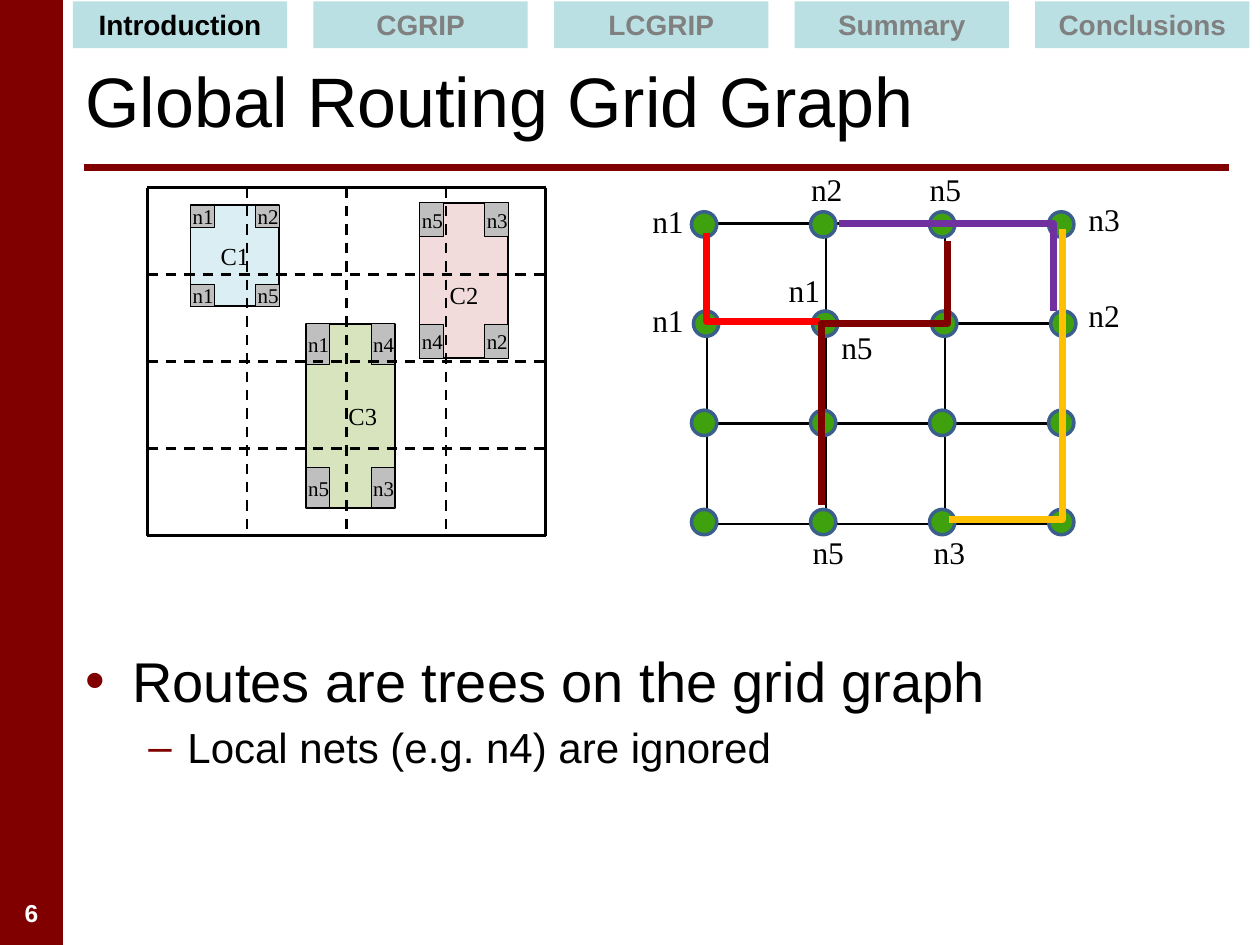
from collections import namedtuple

from lxml import etree
from pptx import Presentation
from pptx.dml.color import RGBColor
from pptx.enum.dml import MSO_LINE
from pptx.enum.shapes import MSO_CONNECTOR as Link, MSO_SHAPE as Preset
from pptx.enum.text import MSO_ANCHOR as Anchor, PP_ALIGN as Align
from pptx.oxml.ns import qn
from pptx.util import Cm, Pt

COLORS = {
    "maroon": "800000", "black": "000000", "white": "FFFFFF", "gray": "808080",
    "tab": "BBE0E3", "pin": "BFBFBF", "node": "40A10F", "ring": "3A5F8C",
    "blue": "DBEEF4", "pink": "F2DCDB", "green": "D7E4BD",
    "red": "FF0000", "purple": "7030A0", "orange": "FFC000",
}
SANS, SERIF = "Arial", "Times New Roman"

Block = namedtuple(
    "Block", "preset x y w h fill line weight text size font color bold insets",
    defaults=(None, 0, "", 12, SERIF, "black", False, (0.25, 0.13, 0.25, 0.13)))


def write(para, text, size, font=SERIF, color="black", bold=False):
    span = para.add_run()
    span.text = text
    span.font.size = Pt(size)
    span.font.name = font
    span.font.bold = bold
    span.font.color.rgb = RGBColor.from_string(COLORS[color])


def add_line(x1, y1, x2, y2, color="black", weight=1.5, kind=Link.STRAIGHT):
    line = page.shapes.add_connector(kind, Cm(x1), Cm(y1), Cm(x2), Cm(y2))
    line.line.color.rgb = RGBColor.from_string(COLORS[color])
    line.line.width = Pt(weight)
    etree.SubElement(line._element.spPr, qn("a:effectLst"))
    return line


deck = Presentation()
deck.slide_width, deck.slide_height = Cm(25.4), Cm(19.05)
page = deck.slides.add_slide(deck.slide_layouts[5])

# Title and the rule below it
title = page.shapes.title
title.left, title.top, title.width, title.height = Cm(1.47), Cm(0.64), Cm(23.29), Cm(2.74)
title.text_frame.vertical_anchor = Anchor.MIDDLE
para = title.text_frame.paragraphs[0]
para.alignment = Align.LEFT
write(para, "Global Routing Grid Graph", 40, SANS)
add_line(1.7, 3.38, 24.77, 3.38, "maroon", 4)

# Lines of the grid graph
GRAPH_X, GRAPH_Y, STEP_X, STEP_Y = 14.25, 4.5, 2.4, 2.02
for i in range(4):
    x, y = GRAPH_X + i * STEP_X, GRAPH_Y + i * STEP_Y
    add_line(x, GRAPH_Y, x, GRAPH_Y + 3 * STEP_Y)
    add_line(GRAPH_X, y, GRAPH_X + 3 * STEP_X, y)

# Side bar, navigation tabs, graph nodes, cells with their corner pins
blocks = [Block(Preset.RECTANGLE, 0, 0, 1.27, 19.05, "maroon")]

for i, name in enumerate(["Introduction", "CGRIP", "LCGRIP", "Summary", "Conclusions"]):
    blocks.append(Block(Preset.RECTANGLE, 1.47 + i * 4.85, 0.03, 4.32, 0.94, "tab", text=name,
                        size=16, font=SANS, color="gray" if i else "black", bold=True))

for row in range(4):
    shift = 0.04 if row == 1 else 0
    for col in range(4):
        blocks.append(Block(Preset.OVAL, 13.94 + col * STEP_X + shift, 4.27 + row * 2,
                            0.51, 0.51, "node", "ring", 2))

CELL_W, PIN_W = 1.79, 0.48
cells = [
    ("C3", 6.17, 6.53, 3.71, 0.81, "green", ["n1", "n4", "n5", "n3"], (0.75, 0.13, 0.25, 0.13)),
    ("C1", 3.84, 4.14, 2.03, 0.44, "blue", ["n1", "n2", "n1", "n5"], (0.25, 0.13, 0.25, 0.13)),
    ("C2", 8.46, 4.09, 3.13, 0.68, "pink", ["n5", "n3", "n4", "n2"], (0.25, 0.7, 0.25, 0.13)),
]
for name, x, y, height, pin_h, fill, pins, insets in cells:
    blocks.append(Block(Preset.RECTANGLE, x, y, CELL_W, height, fill, "black", 1,
                        name, 14, insets=insets))
    for i, pin in enumerate(pins):
        row, col = divmod(i, 2)
        blocks.append(Block(Preset.RECTANGLE, x + col * (CELL_W - PIN_W),
                            y + row * (height - pin_h), PIN_W, pin_h,
                            "pin", "black", 0.5, pin, insets=(0.03, 0, 0, 0)))

for block in blocks:
    shape = page.shapes.add_shape(block.preset, Cm(block.x), Cm(block.y), Cm(block.w), Cm(block.h))
    shape.shadow.inherit = False
    shape.fill.solid()
    shape.fill.fore_color.rgb = RGBColor.from_string(COLORS[block.fill])
    if block.line:
        shape.line.color.rgb = RGBColor.from_string(COLORS[block.line])
        shape.line.width = Pt(block.weight)
    else:
        shape.line.fill.background()
    if block.text:
        frame = shape.text_frame
        frame.word_wrap = False
        frame.vertical_anchor = Anchor.MIDDLE
        (frame.margin_left, frame.margin_top,
         frame.margin_right, frame.margin_bottom) = map(Cm, block.insets)
        para = frame.paragraphs[0]
        para.alignment = Align.CENTER
        write(para, block.text, block.size, block.font, block.color, block.bold)

# Net names around the graph
labels = [
    ("n1", 12.9, 3.94), ("n1", 12.9, 5.94), ("n1", 15.65, 5.33), ("n2", 16.1, 3.3),
    ("n5", 16.71, 6.48), ("n2", 21.69, 5.84), ("n3", 21.69, 3.91), ("n3", 18.57, 10.62),
    ("n5", 16.13, 10.62), ("n5", 18.49, 3.3),
]
for net, x, y in labels:
    box = page.shapes.add_textbox(Cm(x), Cm(y), Cm(1.17), Cm(1.02))
    write(box.text_frame.paragraphs[0], net, 18)

# Placement grid: solid frame, dashed inner lines
LEFT, TOP, RIGHT, BOTTOM = 2.97, 3.78, 11, 10.8
for i in range(5):
    x = LEFT + i * (RIGHT - LEFT) / 4
    y = TOP + i * (BOTTOM - TOP) / 4
    for line in (add_line(x, TOP, x, BOTTOM), add_line(LEFT, y, RIGHT, y)):
        if 0 < i < 4:
            line.line.dash_style = MSO_LINE.DASH

# Routes: unrotated box, turn in degrees, mirrored or not, bend position
routes = [
    ("red", 14.5, 4.45, 1.78, 2.29, 270, True, None),
    ("purple", 16.92, 4.5, 4.32, 1.78, 0, False, None),
    ("orange", 17.35, 6.4, 5.84, 2.29, 90, False, None),
    ("maroon", 15.16, 6.25, 5.33, 2.54, 90, False, 31200),
]
for color, x, y, width, height, turn, mirrored, bend in routes:
    route = add_line(x, y, x + width, y + height, color, 4, Link.ELBOW)
    xfrm = route._element.spPr.find(qn("a:xfrm"))
    xfrm.set("rot", str(turn * 60000))
    if mirrored:
        xfrm.set("flipH", "1")
    geometry = route._element.spPr.find(qn("a:prstGeom"))
    if bend is None:
        geometry.set("prst", "bentConnector2")
    else:
        etree.SubElement(geometry.find(qn("a:avLst")), qn("a:gd"), name="adj1", fmla=f"val {bend}")

# Bulleted text
box = page.shapes.add_textbox(Cm(1.47), Cm(12.9), Cm(23.93), Cm(5.28))
box.text_frame.word_wrap = True
bullets = [
    ("•", "Routes are trees on the grid graph", 32, 0, 0.95, 0.95),
    ("–", "Local nets (e.g. n4) are ignored", 24, 1, 2.06, 0.79),
]
for i, (mark, text, size, level, indent, hang) in enumerate(bullets):
    para = box.text_frame.add_paragraph() if i else box.text_frame.paragraphs[0]
    para.level = level
    para.space_before = Pt(size * 0.2)
    write(para, text, size, SANS)
    props = para._p.get_or_add_pPr()
    props.set("marL", str(Cm(indent)))
    props.set("indent", str(-Cm(hang)))
    bullet_color = etree.SubElement(props, qn("a:buClr"))
    etree.SubElement(bullet_color, qn("a:srgbClr"), val=COLORS["maroon"])
    etree.SubElement(props, qn("a:buFont"), typeface=SANS)
    etree.SubElement(props, qn("a:buChar"), char=mark)

# Page number
box = page.shapes.add_textbox(Cm(0), Cm(17.98), Cm(1.27), Cm(0.84))
box.text_frame.word_wrap = True
para = box.text_frame.paragraphs[0]
para.alignment = Align.CENTER
write(para, "6", 14, SANS, "white", True)

deck.save("out.pptx")
